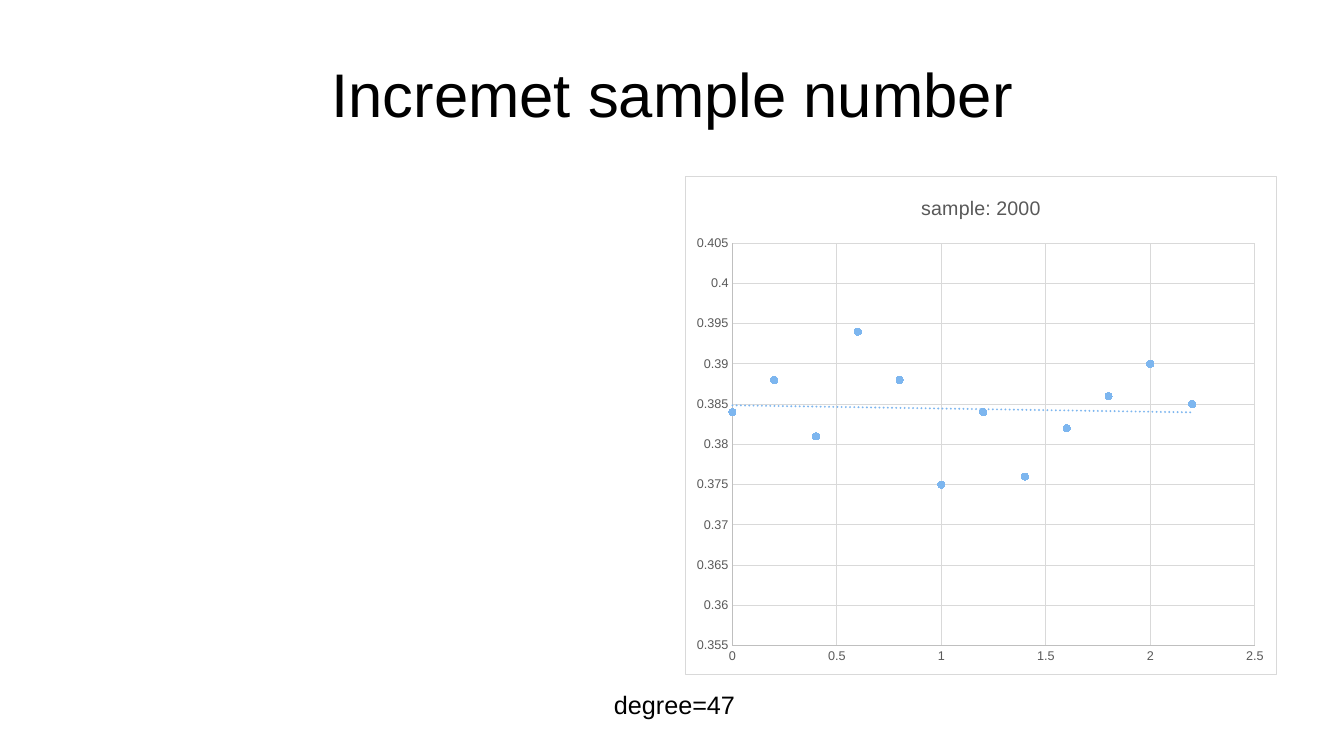
from lxml.etree import SubElement
from pptx import Presentation
from pptx.chart.data import XyChartData
from pptx.dml.color import RGBColor
from pptx.enum.chart import XL_CHART_TYPE, XL_MARKER_STYLE, XL_TICK_MARK
from pptx.enum.text import MSO_ANCHOR, MSO_AUTO_SIZE, PP_ALIGN
from pptx.oxml import parse_xml
from pptx.oxml.ns import nsdecls, qn
from pptx.util import Inches, Pt

FONT = "Arial"
BLACK = RGBColor(0x00, 0x00, 0x00)
WHITE = RGBColor(0xFF, 0xFF, 0xFF)
GRAY = RGBColor(0x59, 0x59, 0x59)
AXIS_GRAY = RGBColor(0xBF, 0xBF, 0xBF)
GRID_GRAY = RGBColor(0xD9, 0xD9, 0xD9)
BLUE = RGBColor(0x7D, 0xB6, 0xEF)

TITLE_BOX = (0.67, 0.3, 12, 1.25)
CHART_BOX = (6.79, 1.75, 5.88, 4.95)
PLOT_BOX = (0.47, 0.66, 5.19, 4)
CAPTION_BOX = (5.99, 6.79, 2.03, 0.4)
SAMPLE_STEP = 0.2
SAMPLE_VALUES = (0.384, 0.388, 0.381, 0.394, 0.388, 0.375,
                 0.384, 0.376, 0.382, 0.386, 0.39, 0.385)


def style_font(font, size, color):
    """Set the typeface, size and colour of a font."""
    font.name = FONT
    font.size = Pt(size)
    font.bold = False
    font.color.rgb = color


def write_text(frame, text, size=18, color=BLACK, align=PP_ALIGN.LEFT, anchor=MSO_ANCHOR.TOP):
    """Write one formatted paragraph into a text frame."""
    frame.word_wrap = True
    frame.vertical_anchor = anchor
    para = frame.paragraphs[0]
    para.alignment = align
    span = para.add_run()
    span.text = text
    style_font(span.font, size, color)


def style_line(line, color):
    """Give a line its colour and the thin chart width."""
    line.color.rgb = color
    line.width = Pt(0.75)


def style_axis(axis, low, high, step):
    """Set the scale, grid and labels of an axis."""
    axis.minimum_scale, axis.maximum_scale, axis.major_unit = low, high, step
    axis.major_tick_mark = axis.minor_tick_mark = XL_TICK_MARK.NONE
    axis.has_major_gridlines = True
    style_line(axis.major_gridlines.format.line, GRID_GRAY)
    style_line(axis.format.line, AXIS_GRAY)
    style_font(axis.tick_labels.font, 9, GRAY)
    axis.tick_labels.number_format = "General"
    axis.tick_labels.number_format_is_linked = False


def add_trend(chart):
    """Add a dotted linear trend line to the series."""
    trend = parse_xml(
        f'<c:trendline {nsdecls("c", "a")}><c:spPr><a:ln w="{Pt(1.5)}" cap="rnd">'
        f'<a:solidFill><a:srgbClr val="{BLUE}"/></a:solidFill><a:prstDash val="sysDot"/>'
        '</a:ln></c:spPr><c:trendlineType val="linear"/>'
        '<c:dispRSqr val="0"/><c:dispEq val="0"/></c:trendline>')
    next(chart.element.iter(qn("c:xVal"))).addprevious(trend)


def frame_chart(chart):
    """Fill and outline the chart."""
    frame = parse_xml(
        f'<c:spPr {nsdecls("c", "a")}><a:solidFill><a:srgbClr val="{WHITE}"/></a:solidFill>'
        f'<a:ln w="{Pt(0.75)}"><a:solidFill><a:srgbClr val="{GRID_GRAY}"/></a:solidFill></a:ln>'
        '</c:spPr>')
    chart.element.find(qn("c:chart")).addnext(frame)


def place_plot(chart, box, plot_box):
    """Fix the plot area at a place within the chart box."""
    plot_area = next(chart.element.iter(qn("c:plotArea")))
    for old_layout in plot_area.findall(qn("c:layout")):
        plot_area.remove(old_layout)
    layout = parse_xml(f'<c:layout {nsdecls("c")}><c:manualLayout/></c:layout>')
    shares = [length / whole for length, whole in zip(plot_box, box[2:] * 2)]
    settings = {"layoutTarget": "inner", "xMode": "edge", "yMode": "edge",
                **dict(zip("xywh", shares))}
    for name, value in settings.items():
        SubElement(layout[0], qn(f"c:{name}")).set("val", str(value))
    plot_area.insert(0, layout)


def add_title(page, box):
    """Place the page title."""
    title = page.shapes.title
    title.left, title.top, title.width, title.height = map(Inches, box)
    write_text(title.text_frame, "Incremet sample number", size=44,
               align=PP_ALIGN.CENTER, anchor=MSO_ANCHOR.MIDDLE)


def add_sample_chart(page, box):
    """Place the scatter chart of the samples."""
    data = XyChartData()
    points = data.add_series("Series 1")
    for index, value in enumerate(SAMPLE_VALUES):
        points.add_data_point(round(index * SAMPLE_STEP, 1), value)
    chart = page.shapes.add_chart(XL_CHART_TYPE.XY_SCATTER, *map(Inches, box), data).chart
    style_font(chart.font, 10, BLACK)
    chart.has_legend = False
    chart.has_title = True
    write_text(chart.chart_title.text_frame, "sample: 2000", size=14, color=GRAY,
               align=PP_ALIGN.CENTER)
    chart.chart_title.include_in_layout = False
    style_axis(chart.category_axis, 0, 2.5, 0.5)
    style_axis(chart.value_axis, 0.355, 0.405, 0.005)
    plot = chart.plots[0]
    plot.vary_by_categories = False
    series = plot.series[0]
    series.format.line.fill.background()
    series.marker.style = XL_MARKER_STYLE.CIRCLE
    series.marker.size = 5
    series.marker.format.fill.solid()
    series.marker.format.fill.fore_color.rgb = BLUE
    style_line(series.marker.format.line, BLUE)
    add_trend(chart)
    frame_chart(chart)
    place_plot(chart, box, PLOT_BOX)


def add_caption(page, box):
    """Place the caption below the chart."""
    frame = page.shapes.add_textbox(*map(Inches, box)).text_frame
    write_text(frame, "degree=47")
    frame.auto_size = MSO_AUTO_SIZE.SHAPE_TO_FIT_TEXT


def build_deck():
    """Build and save the one-page deck."""
    deck = Presentation()
    deck.slide_width, deck.slide_height = Inches(13.33), Inches(7.5)
    page = deck.slides.add_slide(deck.slide_layouts[5])
    page.background.fill.solid()
    page.background.fill.fore_color.rgb = WHITE
    add_title(page, TITLE_BOX)
    add_sample_chart(page, CHART_BOX)
    add_caption(page, CAPTION_BOX)
    deck.save("out.pptx")


build_deck()
